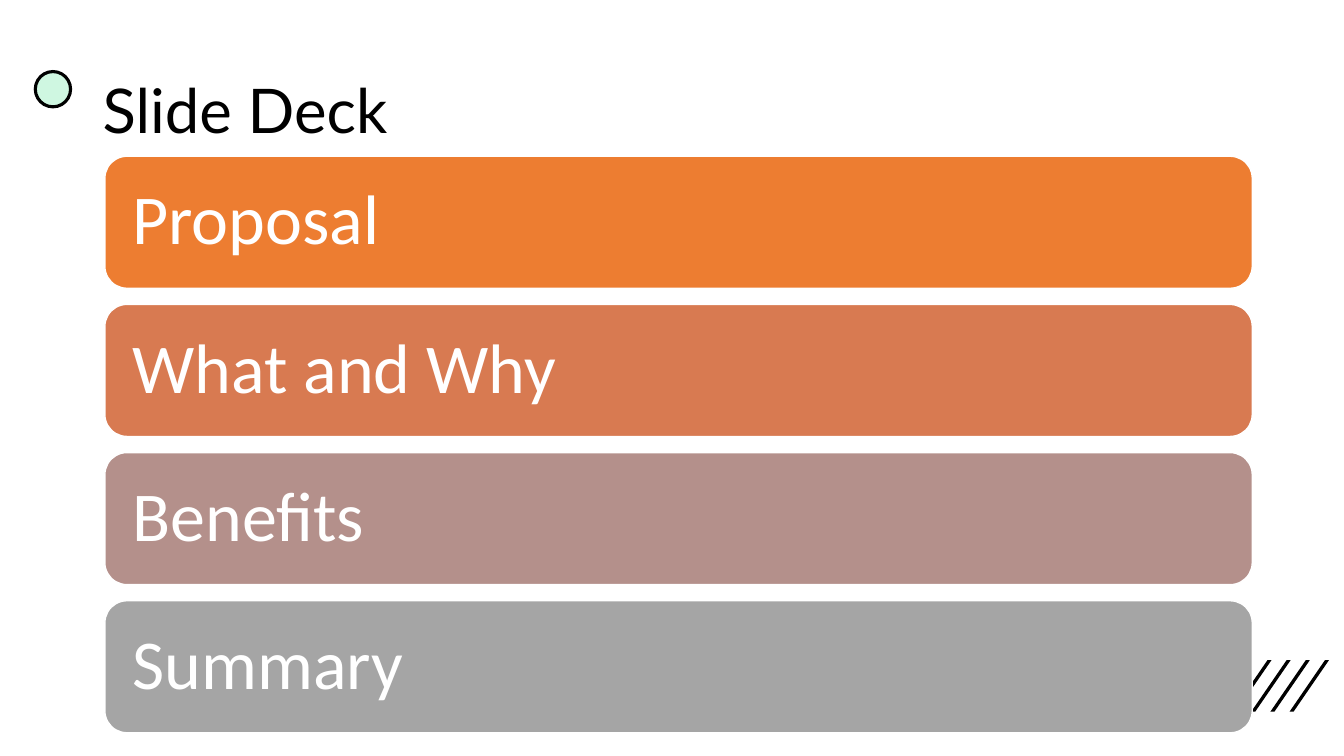
from typing import NamedTuple

from pptx import Presentation
from pptx.dml.color import RGBColor
from pptx.enum.shapes import MSO_SHAPE
from pptx.enum.text import MSO_ANCHOR, PP_ALIGN
from pptx.util import Emu, Pt

PX = 9144  # 100 px to the inch
ROUNDED, ELLIPSE = MSO_SHAPE.ROUNDED_RECTANGLE, MSO_SHAPE.OVAL
MIDDLE, LEFT = MSO_ANCHOR.MIDDLE, PP_ALIGN.LEFT
BLACK, WHITE, MINT = "000000", "FFFFFF", "CFF7E1"

BAR_LEFT, BAR_TOP, BAR_WIDTH, BAR_HEIGHT, BAR_PITCH = 104, 155, 1138, 131, 147
BAR_INSET = 21
STRIPE_LEFT, STRIPE_TOP, STRIPE_BOTTOM, STRIPE_PITCH = 1203, 655, 706, 19
STRIPE_COUNT, STRIPE_THICKNESS, STRIPE_SLANT = 5, 4, 35


class Bar(NamedTuple):
    label: str
    color: str


BARS = [
    Bar("Proposal", "ED7D31"),
    Bar("What and Why", "D87A51"),
    Bar("Benefits", "B4908B"),
    Bar("Summary", "A5A5A5"),
]


def px(n: int) -> Emu:
    return Emu(n * PX)


def rgb(color: str) -> RGBColor:
    return RGBColor.from_string(color)


def paint(shape, fill: str, line: str | None = None, width: float = 1) -> None:
    shape.shadow.inherit = False
    shape.fill.solid()
    shape.fill.fore_color.rgb = rgb(fill)
    if line is None:
        shape.line.fill.background()
    else:
        shape.line.color.rgb = rgb(line)
        shape.line.width = Pt(width)


def write(shape, text: str, font: str, size: int, color: str, **frame) -> None:
    """Set one left-aligned, vertically centred line; frame holds text frame values."""
    tf = shape.text_frame
    for name, value in {"word_wrap": True, "vertical_anchor": MIDDLE, **frame}.items():
        setattr(tf, name, value)
    p = tf.paragraphs[0]
    p.alignment, p.line_spacing = LEFT, 0.9
    r = p.add_run()
    r.text = text
    for name, value in {"name": font, "size": Pt(size)}.items():
        setattr(r.font, name, value)
    r.font.color.rgb = rgb(color)


def add_stripe(s, left: int) -> None:
    right = left + STRIPE_SLANT
    builder = s.shapes.build_freeform(left + STRIPE_THICKNESS, STRIPE_BOTTOM, scale=PX)
    builder.add_line_segments([
        (left, STRIPE_BOTTOM),
        (right, STRIPE_TOP),
        (right + STRIPE_THICKNESS, STRIPE_TOP),
    ], close=True)
    paint(builder.convert_to_shape(), BLACK)


def add_bar(s, bar: Bar, top: int) -> None:
    sp = s.shapes.add_shape(ROUNDED, px(BAR_LEFT), px(top), px(BAR_WIDTH), px(BAR_HEIGHT))
    paint(sp, bar.color, WHITE)
    sides = ("left", "top", "right", "bottom")
    margins = {f"margin_{side}": px(BAR_INSET) for side in sides}
    write(sp, bar.label, "Calibri", 50, WHITE, **margins)


def main() -> None:
    prs = Presentation()
    prs.slide_width, prs.slide_height = px(1333), px(750)
    s = prs.slides.add_slide(prs.slide_layouts[6])

    for i in range(STRIPE_COUNT):
        add_stripe(s, STRIPE_LEFT + i * STRIPE_PITCH)

    dot = s.shapes.add_shape(ELLIPSE, px(35), px(71), px(35), px(35))
    paint(dot, MINT, BLACK, 2.25)

    title = s.shapes.add_textbox(px(92), px(40), px(365), px(145))
    write(title, "Slide Deck", "Lato", 44, BLACK)

    for i, bar in enumerate(BARS):
        add_bar(s, bar, BAR_TOP + i * BAR_PITCH)

    prs.save("out.pptx")


if __name__ == "__main__":
    main()
